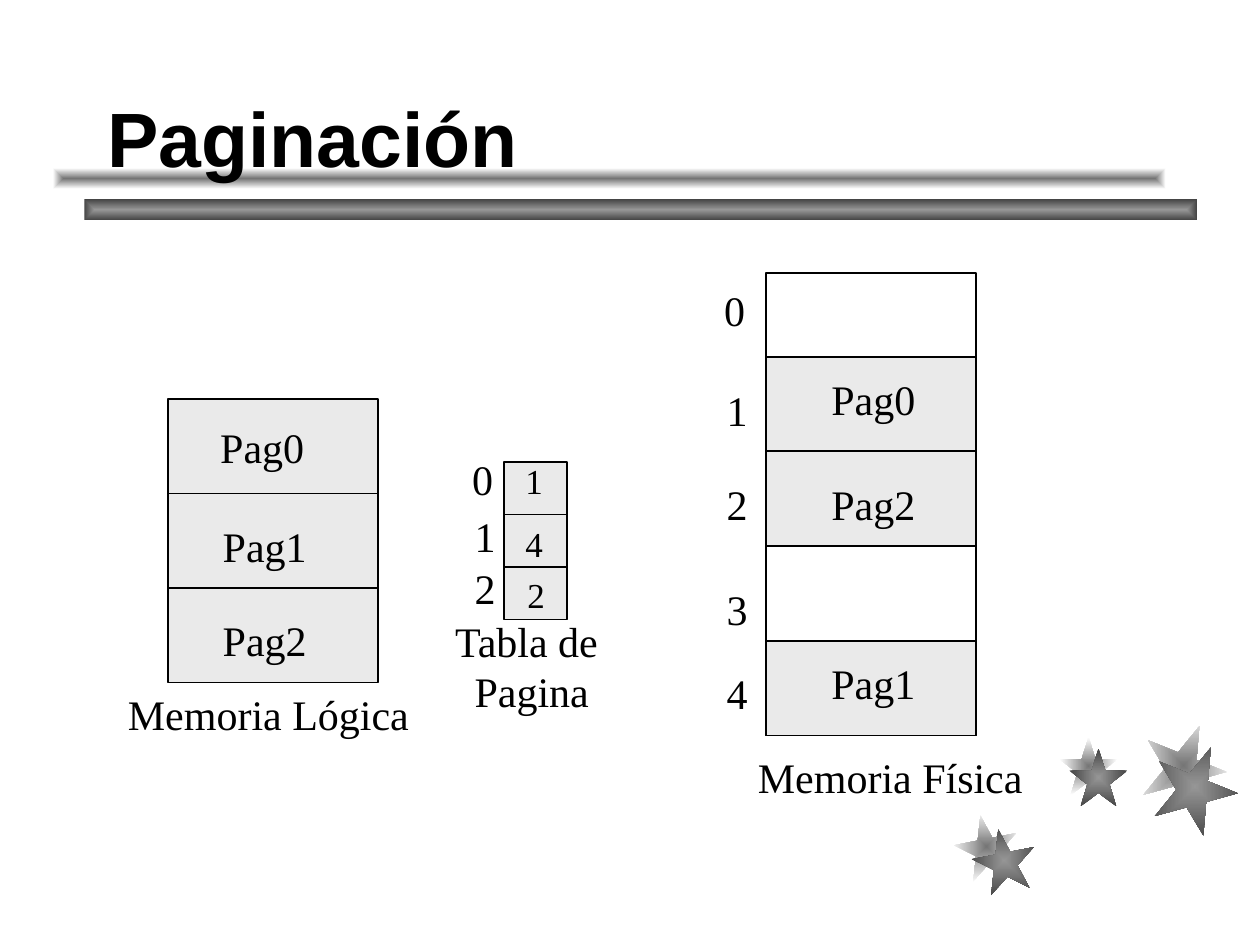
from dataclasses import dataclass

from lxml.etree import SubElement
from pptx import Presentation
from pptx.dml.color import RGBColor
from pptx.enum.shapes import MSO_CONNECTOR as Connector, MSO_SHAPE as Preset
from pptx.enum.text import MSO_ANCHOR as Anchor, MSO_AUTO_SIZE as AutoSize, PP_ALIGN as Align
from pptx.oxml.ns import qn
from pptx.util import Cm, Pt

COLORS = {
    "ink": "000000",
    "page": "EAEAEA",
    "dark_center": "969696",
    "dark_edge": "454545",
    "light_center": "757575",
    "light_edge": "FFFFFF",
}


# All lengths below are centimetres
@dataclass
class Ornament:
    preset: Preset
    tone: str
    left: float
    top: float
    width: float
    height: float
    rotation: int = 0


@dataclass
class Block:
    left: float
    top: float
    width: float
    height: float
    rows: int = 1
    filled: bool = True
    dividers: int = 0


@dataclass
class Label:
    text: str
    left: float
    top: float
    width: float
    height: float = 1.27
    size: int = 24
    align: Align = Align.LEFT


def color(name: str) -> RGBColor:
    return RGBColor.from_string(COLORS[name])


def add_ornament(slide, ornament: Ornament) -> None:
    shape = slide.shapes.add_shape(
        ornament.preset, Cm(ornament.left), Cm(ornament.top),
        Cm(ornament.width), Cm(ornament.height))
    shape.rotation = ornament.rotation
    shape.shadow.inherit = False
    shape.line.fill.background()
    shape.fill.gradient()
    for stop, part, position in zip(shape.fill.gradient_stops, ("center", "edge"), (0, 1)):
        stop.color.rgb = color(f"{ornament.tone}_{part}")
        stop.position = position
    # Turn the linear gradient into one that spreads from the middle
    gradient = shape.fill._xPr.find(qn("a:gradFill"))
    gradient.remove(gradient.find(qn("a:lin")))
    spread = SubElement(gradient, qn("a:path"), {"path": "rect"})
    middle = dict.fromkeys("ltrb", "50000")
    SubElement(spread, qn("a:fillToRect"), middle)


def add_divider(slide, left: float, right: float, y: float) -> None:
    line = slide.shapes.add_connector(
        Connector.STRAIGHT, Cm(left), Cm(y), Cm(right), Cm(y))
    line.line.color.rgb = color("ink")
    line.line.width = Pt(1)
    SubElement(line._element.spPr, qn("a:effectLst"))


def add_block(slide, block: Block) -> None:
    shape = slide.shapes.add_shape(
        Preset.RECTANGLE, Cm(block.left), Cm(block.top), Cm(block.width), Cm(block.height))
    shape.shadow.inherit = False
    shape.line.color.rgb = color("ink")
    shape.line.width = Pt(1)
    if block.filled:
        shape.fill.solid()
        shape.fill.fore_color.rgb = color("page")
    else:
        shape.fill.background()
    for row in range(1, block.dividers + 1):
        add_divider(slide, block.left, block.left + block.width,
                    block.top + row * block.height / block.rows)


def format_text(frame, frame_format: dict, font_format: dict, align: Align) -> None:
    for name, value in frame_format.items():
        setattr(frame, name, value)
    for paragraph in frame.paragraphs:
        paragraph.alignment = align
        for run in paragraph.runs:
            for name, value in font_format.items():
                setattr(run.font, name, value)
            run.font.color.rgb = color("ink")


def add_label(slide, label: Label) -> None:
    box = slide.shapes.add_textbox(
        Cm(label.left), Cm(label.top), Cm(label.width), Cm(label.height))
    box.text_frame.text = label.text
    format_text(box.text_frame,
                {"word_wrap": False, "auto_size": AutoSize.SHAPE_TO_FIT_TEXT},
                {"name": "Times New Roman", "size": Pt(label.size)}, label.align)


def add_title(slide, text: str) -> None:
    title = slide.shapes.title
    place = {"left": Cm(1.91), "top": Cm(0.64), "width": Cm(21.59), "height": Cm(3.17)}
    for name, value in place.items():
        setattr(title, name, value)
    title.text_frame.text = text
    format_text(title.text_frame,
                {"vertical_anchor": Anchor.BOTTOM, "word_wrap": True,
                 "auto_size": AutoSize.NONE},
                {"name": "Arial", "size": Pt(44), "bold": True}, Align.LEFT)
    slide.shapes._spTree.append(title._element)  # in front of the bars


# Stars and title bars
STARS = [
    Ornament(Preset.STAR_5_POINT, tone, left, top, size, size, rotation)
    for tone, places in {
        "light": [(19.25, 16.43, 1.27, 349), (21.36, 14.86, 1.17, 0), (23.01, 14.58, 1.7, 22)],
        "dark": [(19.61, 16.71, 1.27, 349), (21.56, 15.09, 1.17, 0), (23.24, 15.01, 1.7, 22)],
    }.items()
    for left, top, size, rotation in places
]
BARS = [
    Ornament(Preset.RECTANGLE, "dark", 1.7, 4.02, 22.43, 0.42),
    Ornament(Preset.RECTANGLE, "light", 1.07, 3.39, 22.43, 0.42),
]

# Physical memory: a short first frame above four equal ones
FRAME_LEFT, FRAME_TOP, FRAME_WIDTH = 15.45, 5.5, 4.23
FIRST_FRAME, FRAME_HEIGHT = 1.69, 1.91
USED_FRAMES = (1, 2, 4)


def frame_top(number: int) -> float:
    return FRAME_TOP + FIRST_FRAME + (number - 1) * FRAME_HEIGHT


BLOCKS = [
    Block(3.39, 8.04, 4.23, 5.72, rows=3, dividers=2),
    Block(10.16, 9.31, 1.27, 3.18, rows=3, dividers=3),
    Block(FRAME_LEFT, FRAME_TOP, FRAME_WIDTH, FIRST_FRAME + 4 * FRAME_HEIGHT, filled=False),
] + [Block(FRAME_LEFT, frame_top(number), FRAME_WIDTH, FRAME_HEIGHT) for number in USED_FRAMES]

# Page names, indexes, table entries and captions
PAGES = [("Pag0", 4.19, 8.38), ("Pag1", 4.24, 10.36), ("Pag2", 4.24, 12.27),
         ("Pag0", 16.51, 7.41), ("Pag2", 16.51, 9.53), ("Pag1", 16.51, 13.13)]
INDEXES = [("0", 9.27, 9.02), ("1", 9.32, 10.16), ("2", 9.32, 11.22),
           ("0", 14.35, 5.62), ("1", 14.4, 7.62), ("2", 14.4, 9.53),
           ("3", 14.4, 11.63), ("4", 14.4, 13.34)]
ENTRIES = [("1", 10.34, 9.14), ("4", 10.34, 10.41), ("2", 10.38, 11.43)]
LABELS = [
    *(Label(*page, width=2.25) for page in PAGES),
    *(Label(*index, width=0.92) for index in INDEXES),
    *(Label(*entry, width=0.87, height=1.12, size=20) for entry in ENTRIES),
    Label("Memoria Lógica", 2.33, 13.76, 6.2),
    Label("Memoria Física", 15.03, 15.03, 5.87),
    Label("Tabla de \nPagina", 8.89, 12.28, 3.66, 2.29, align=Align.CENTER),
]


def main() -> None:
    presentation = Presentation()
    presentation.slide_width, presentation.slide_height = Cm(25.4), Cm(19.05)
    slide = presentation.slides.add_slide(presentation.slide_layouts[5])
    for ornament in STARS + BARS:
        add_ornament(slide, ornament)
    add_title(slide, "Paginación")
    for block in BLOCKS:
        add_block(slide, block)
    for divider in range(1, 5):
        add_divider(slide, FRAME_LEFT, FRAME_LEFT + FRAME_WIDTH, frame_top(divider))
    for label in LABELS:
        add_label(slide, label)
    presentation.save("out.pptx")


if __name__ == "__main__":
    main()
